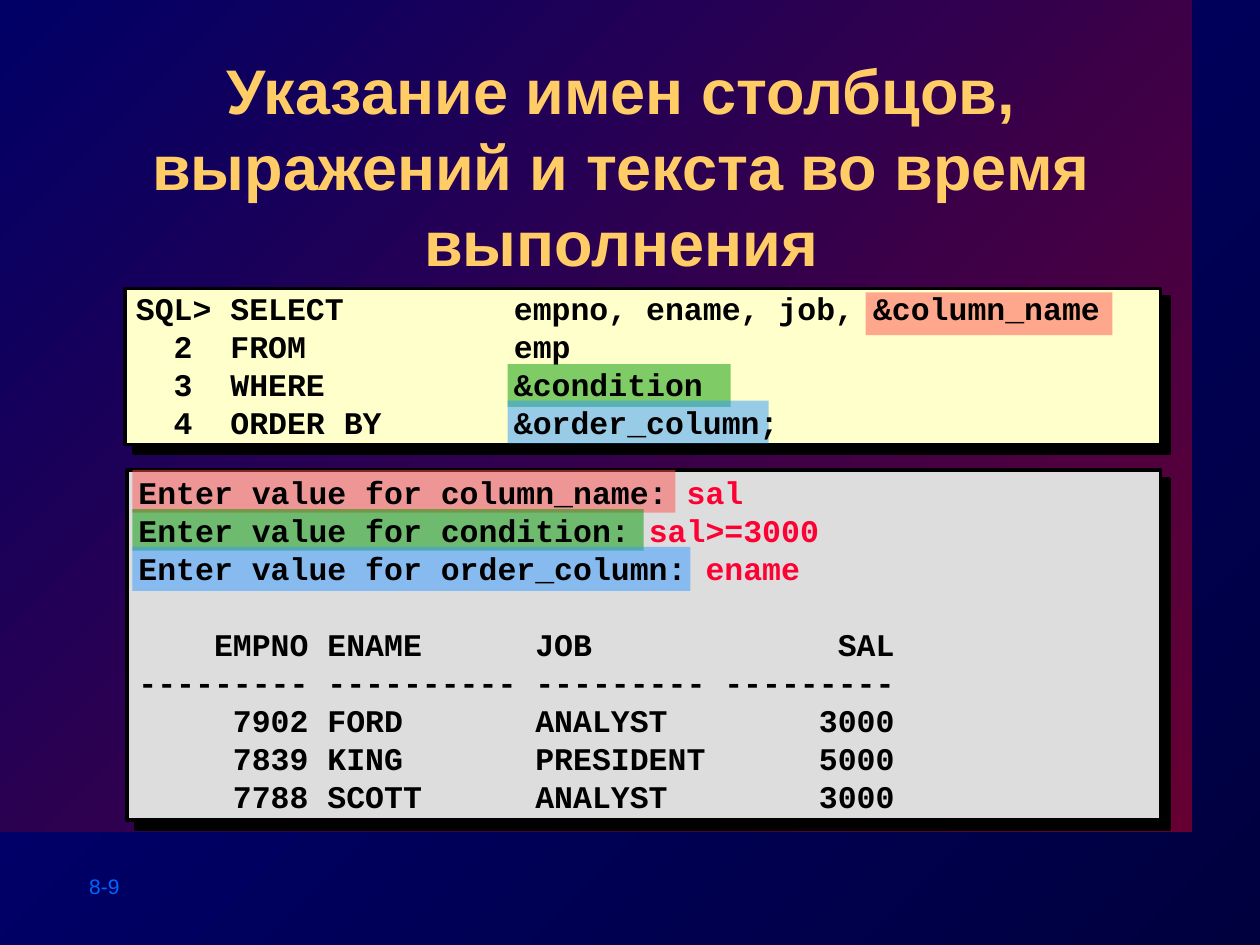
from lxml.etree import SubElement
from pptx import Presentation
from pptx.dml.color import RGBColor
from pptx.enum.shapes import MSO_SHAPE
from pptx.enum.text import MSO_ANCHOR, PP_ALIGN
from pptx.oxml.ns import qn
from pptx.util import Inches, Pt

BLACK = "000000"
ANSWER = "FF0033"
RED, GREEN, BLUE = "FF5050", "009900", "3399FF"
CODE_TABS = (1.31, 2, 3, 4, 5, 6, 7)


def rgb(value):
    return RGBColor.from_string(value)


def add_shadow(properties, distance):
    effects = SubElement(properties, qn("a:effectLst"))
    shadow = SubElement(effects, qn("a:outerShdw"), dist=str(Pt(distance)),
                        dir="2700000", algn="ctr", rotWithShape="0")
    SubElement(shadow, qn("a:srgbClr"), val=BLACK)


def fill_gradient(fill, start, end):
    fill.gradient()
    fill.gradient_angle = 135
    for stop, color, position in zip(fill.gradient_stops, (start, end), (0, 1)):
        stop.color.rgb = rgb(color)
        stop.position = position


class SlideBuilder:
    heading_font = "Arial"
    code_font = "Courier New"
    code_size = 18
    code_leading = 21.7

    def __init__(self, slide):
        self.slide = slide

    def rectangle(self, left, top, width, height):
        rect = self.slide.shapes.add_shape(
            MSO_SHAPE.RECTANGLE, Inches(left), Inches(top), Inches(width), Inches(height))
        rect.shadow.inherit = False
        rect.line.fill.background()
        return rect

    def backdrop(self, box, start, end):
        fill_gradient(self.rectangle(*box).fill, start, end)

    def panel(self, box, color):
        panel = self.rectangle(*box)
        panel.fill.solid()
        panel.fill.fore_color.rgb = rgb(color)
        panel.line.color.rgb = rgb(BLACK)
        panel.line.width = Pt(2)
        properties = panel._element.spPr
        properties.remove(properties.find(qn("a:effectLst")))
        add_shadow(properties, 7.1)

    def highlight(self, box, color):
        marker = self.rectangle(*box)
        marker.fill.solid()
        marker.fill.fore_color.rgb = rgb(color)
        tint = marker._element.spPr.find(qn("a:solidFill"))[0]
        SubElement(tint, qn("a:alpha"), val="50000")

    def run(self, paragraph, text, font, size, color, bold=True):
        run = paragraph.add_run()
        run.text = text
        run.font.name = font
        run.font.size = Pt(size)
        run.font.bold = bold
        run.font.color.rgb = rgb(color)
        return run

    def title(self, box, text):
        title = self.slide.shapes.title
        title.left, title.top, title.width, title.height = map(Inches, box)
        title.text_frame.vertical_anchor = MSO_ANCHOR.TOP
        title.text_frame.word_wrap = True
        paragraph = title.text_frame.paragraphs[0]
        paragraph.alignment = PP_ALIGN.CENTER
        paragraph.line_spacing = Pt(43.3)
        run = self.run(paragraph, text, self.heading_font, 36, "FFCC66")
        properties = run.font._element
        add_shadow(properties, 3)
        properties.insert(1, properties.find(qn("a:effectLst")))

    def text_box(self, left, top, width, height):
        return self.slide.shapes.add_textbox(
            Inches(left), Inches(top), Inches(width), Inches(height)).text_frame

    def page_number(self, box, text):
        frame = self.text_box(*box)
        frame.word_wrap = True
        self.run(frame.paragraphs[0], text, self.heading_font, 12, "0066FF", False)

    def code(self, box, lines, gap_before=None):
        frame = self.text_box(*box)
        frame.word_wrap = True
        frame.vertical_anchor = MSO_ANCHOR.MIDDLE
        for index, (text, answer) in enumerate(lines):
            paragraph = frame.add_paragraph() if index else frame.paragraphs[0]
            paragraph.line_spacing = Pt(self.code_leading)
            if index == gap_before:
                paragraph.space_before = Pt(self.code_leading)
            tabs = SubElement(paragraph._p.get_or_add_pPr(), qn("a:tabLst"))
            for position in CODE_TABS:
                SubElement(tabs, qn("a:tab"), pos=str(Inches(position)), algn="l")
            self.run(paragraph, text, self.code_font, self.code_size, BLACK)
            if answer:
                self.run(paragraph, answer, self.code_font, self.code_size, ANSWER)


def main():
    deck = Presentation()
    deck.slide_width, deck.slide_height = Inches(10), Inches(7.5)
    slide = deck.slides.add_slide(deck.slide_layouts[5])
    fill_gradient(slide.background.fill, "00003F", "000080")

    builder = SlideBuilder(slide)
    builder.backdrop((0, 0, 9.46, 6.6), "660033", "000066")
    title_element = slide.shapes.title._element
    title_element.getparent().append(title_element)
    builder.title((0.78, 0.36, 8.3, 0.96),
                  "Указание имен столбцов, выражений и текста во время выполнения")
    builder.page_number((0.61, 6.88, 1.11, 0.3), "8-9")
    builder.panel((0.99, 2.29, 8.22, 1.24), "FFFFCC")
    builder.panel((1.01, 3.73, 8.2, 2.78), "DDDDDD")

    substitutions = (
        (RED, (6.87, 2.32, 1.96, 0.34), (1.05, 3.73, 4.31, 0.34)),
        (GREEN, (4.03, 2.89, 1.77, 0.34), (1.05, 4.04, 4.06, 0.33)),
        (BLUE, (4.03, 3.18, 2.07, 0.34), (1.05, 4.34, 4.43, 0.35)),
    )
    for color, variable, prompt in substitutions:
        builder.highlight(variable, color)
        builder.highlight(prompt, color)

    query = (
        ("SQL> SELECT\t\tempno, ename, job, &column_name", ""),
        ("  2  FROM\t\temp", ""),
        ("  3  WHERE\t\t&condition", ""),
        ("  4  ORDER BY\t\t&order_column;", ""),
    )
    session = (
        ("Enter value for column_name: ", "sal"),
        ("Enter value for condition: ", "sal>=3000"),
        ("Enter value for order_column: ", "ename"),
        ("    EMPNO ENAME      JOB             SAL", ""),
        ("--------- ---------- --------- ---------", ""),
        ("     7902 FORD       ANALYST        3000", ""),
        ("     7839 KING       PRESIDENT      5000", ""),
        ("     7788 SCOTT      ANALYST        3000", ""),
    )
    builder.code((0.98, 2.27, 8.19, 1.25), query)
    builder.code((1, 3.72, 8.19, 2.78), session, gap_before=3)
    deck.save("out.pptx")


if __name__ == "__main__":
    main()
